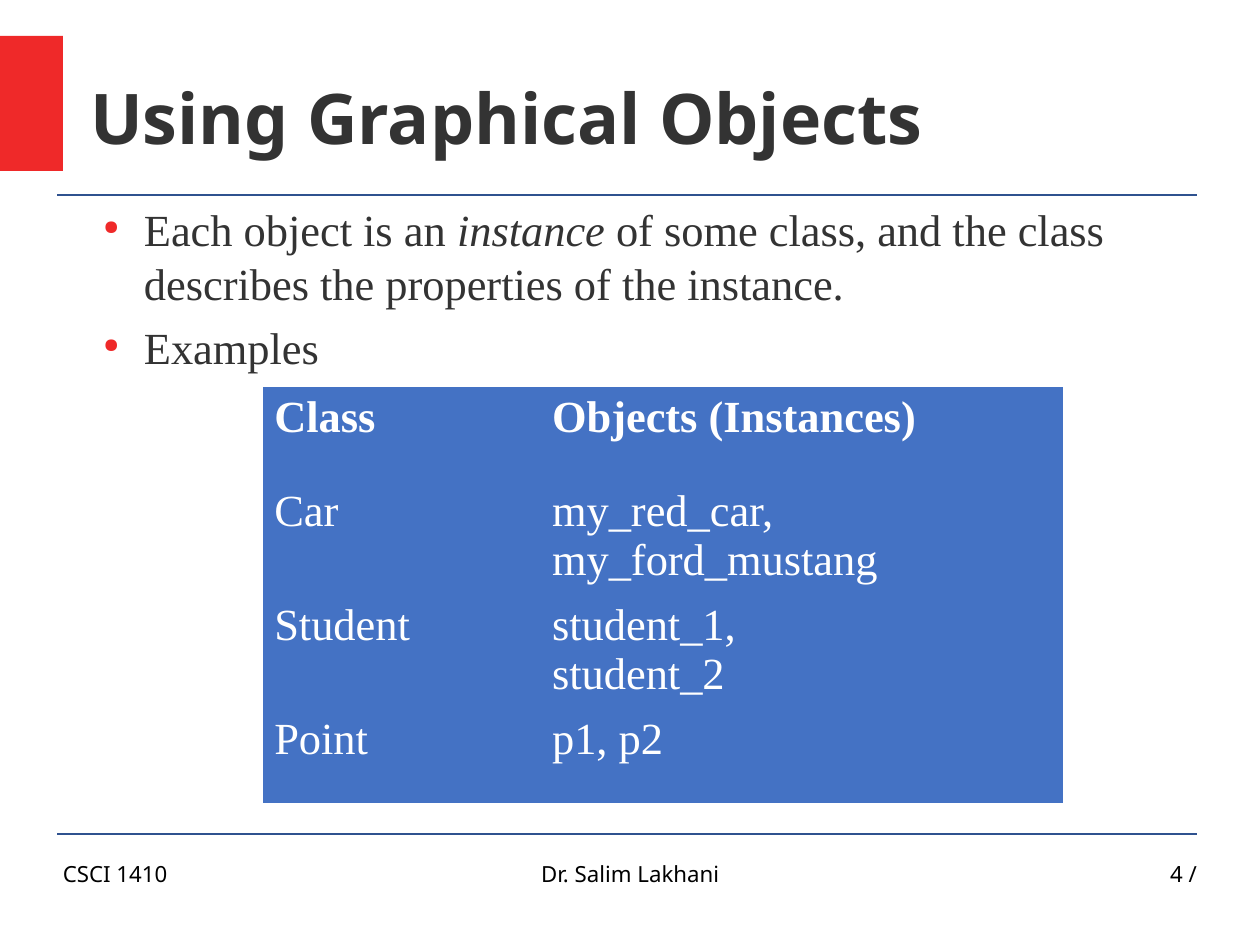
import pptx
import pptx.util
import pptx.dml.color
import pptx.enum.shapes
import pptx.enum.text
import pptx.oxml
import pptx.oxml.ns
from lxml import etree

Pt = pptx.util.Pt
RGB = pptx.dml.color.RGBColor
ALIGN = pptx.enum.text.PP_ALIGN
ANCHOR = pptx.enum.text.MSO_ANCHOR
qn = pptx.oxml.ns.qn

RED = RGB(0xEF, 0x29, 0x29)
NAVY = RGB(0x2F, 0x52, 0x8F)
BLUE = RGB(0x44, 0x72, 0xC4)
DARK = RGB(0x33, 0x33, 0x33)
BLACK = RGB(0, 0, 0)
WHITE = RGB(0xFF, 0xFF, 0xFF)
SANS, SERIF = "Noto Sans", "Times New Roman"
NO_STYLE = "{2D5ABB26-0587-4C30-8999-92F81FD0307C}"

WIDTH, HEIGHT = 793.7, 595.28
LEFT, RIGHT = 36, 754

BULLETS = [
    [("Each object is an ", False), ("instance", True),
     (" of some class, and the class describes the properties of the instance.", False)],
    [("Examples", False)],
]
CLASSES = [
    ("Class", "Objects (Instances)"),
    ("Car", "my_red_car,\nmy_ford_mustang"),
    ("Student", "student_1,\nstudent_2"),
    ("Point", "p1, p2"),
]


def write(p, text, size=28, font=SERIF, color=DARK, bold=False, italic=False,
          align=ALIGN.LEFT):
    """Add formatted text to a paragraph; a newline becomes a line break."""
    p.alignment = align
    for i, line in enumerate(text.split("\n")):
        if i:
            p.add_line_break()
        r = p.add_run()
        r.text = line
        f = r.font
        f.size, f.name, f.bold, f.italic = Pt(size), font, bold, italic
        f.color.rgb = color


def prepare_frame(tf, anchor=ANCHOR.TOP):
    tf.word_wrap = True
    tf.auto_size = pptx.enum.text.MSO_AUTO_SIZE.NONE
    tf.vertical_anchor = anchor
    tf.margin_left = tf.margin_right = tf.margin_top = tf.margin_bottom = 0


def add_text_frame(slide, x, y, w, h):
    tf = slide.shapes.add_textbox(Pt(x), Pt(y), Pt(w), Pt(h)).text_frame
    prepare_frame(tf)
    return tf


def add_rule(slide, x1, x2, y):
    line = slide.shapes.add_connector(
        pptx.enum.shapes.MSO_CONNECTOR.STRAIGHT, Pt(x1), Pt(y), Pt(x2), Pt(y))
    line.line.color.rgb = NAVY
    line.line.width = Pt(1.45)
    etree.SubElement(line._element.spPr, qn("a:effectLst"))


def add_bullet(p):
    pPr = p._p.get_or_add_pPr()
    pPr.set("marL", str(Pt(34)))
    pPr.set("indent", str(-Pt(25.5)))
    color = etree.SubElement(pPr, qn("a:buClr"))
    etree.SubElement(color, qn("a:srgbClr"), val=str(RED))
    etree.SubElement(pPr, qn("a:buSzPct"), val="45000")
    etree.SubElement(pPr, qn("a:buChar"), char="●")


def add_header(slide, x, y, w, h):
    # Red tab at the slide edge
    tab = slide.shapes.add_shape(
        pptx.enum.shapes.MSO_SHAPE.RECTANGLE, 0, Pt(y - 1), Pt(39.6), Pt(85))
    tab.shadow.inherit = False
    tab.fill.solid()
    tab.fill.fore_color.rgb = RED
    tab.line.fill.background()
    # Title and rule
    title = slide.shapes.title
    title.left, title.top, title.width, title.height = Pt(x), Pt(y), Pt(w), Pt(h)
    prepare_frame(title.text_frame, ANCHOR.MIDDLE)
    write(title.text_frame.paragraphs[0], "Using Graphical Objects",
          size=44, font=SANS, bold=True)
    add_rule(slide, LEFT, RIGHT, y + h)


def add_body(slide, x, y, w, h):
    tf = add_text_frame(slide, x, y, w, h)
    for i, parts in enumerate(BULLETS):
        p = tf.paragraphs[0] if i == 0 else tf.add_paragraph()
        add_bullet(p)
        p.space_after = Pt(7.2)
        for text, italic in parts:
            write(p, text, italic=italic)


def add_class_table(slide, x, y, col_widths, row_heights):
    frame = slide.shapes.add_table(
        len(row_heights), len(col_widths), Pt(x), Pt(y),
        Pt(sum(col_widths)), Pt(sum(row_heights)))
    table = frame.table
    table.horz_banding = table.first_row = False
    table._tbl.tblPr.find(qn("a:tableStyleId")).text = NO_STYLE
    for column, width in zip(table.columns, col_widths):
        column.width = Pt(width)
    for i, (row, height) in enumerate(zip(table.rows, row_heights)):
        row.height = Pt(height)
        for cell, text in zip(row.cells, CLASSES[i]):
            cell.fill.solid()
            cell.fill.fore_color.rgb = BLUE
            write(cell.text_frame.paragraphs[0], text, color=WHITE, bold=i == 0)


def add_footer(slide, y, h):
    add_rule(slide, LEFT, RIGHT, y)
    for text, x, w, align in (
            ("CSCI 1410", 39.6, 185, ALIGN.LEFT),
            ("Dr. Salim Lakhani", 271.4, 251.3, ALIGN.CENTER),
            ("4 /", RIGHT - 185, 185, ALIGN.RIGHT)):
        tf = add_text_frame(slide, x, y + 16.5, w, h)
        write(tf.paragraphs[0], text, size=14, font=SANS, color=BLACK, align=align)


def main():
    prs = pptx.Presentation()
    prs.slide_width, prs.slide_height = Pt(WIDTH), Pt(HEIGHT)
    slide = prs.slides.add_slide(prs.slide_layouts[5])
    add_header(slide, 56.7, 23.6, 697.3, 99.4)
    add_body(slide, 56.7, 127.5, 680.4, 391)
    add_class_table(slide, 165.6, 243.8, (175, 329), (59, 72, 72, 59))
    add_footer(slide, 525.4, 41)
    prs.save("out.pptx")


if __name__ == "__main__":
    main()
